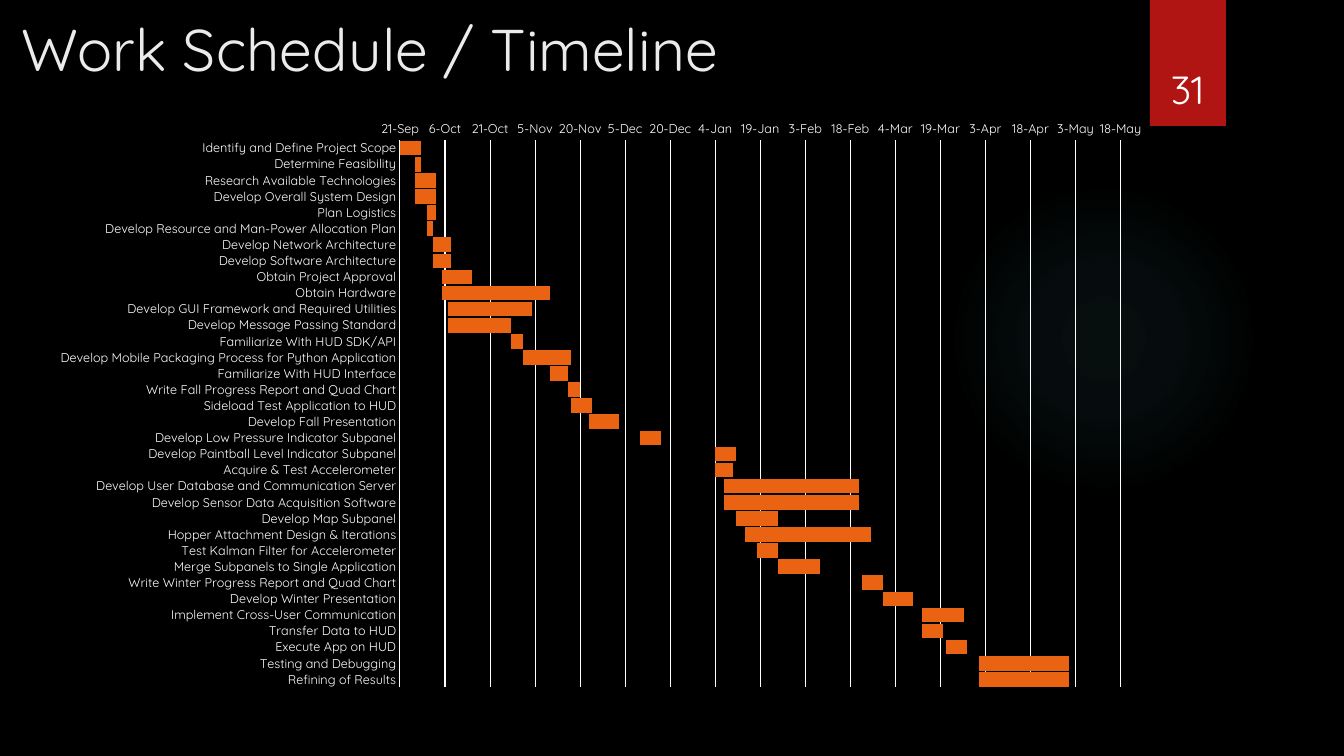
import pptx
import pptx.chart.data
import pptx.dml.color
import pptx.enum.chart
import pptx.enum.shapes
import pptx.enum.text
import pptx.oxml
import pptx.oxml.ns
import pptx.util

BLACK = pptx.dml.color.RGBColor(0x00, 0x00, 0x00)
WHITE = pptx.dml.color.RGBColor(0xFF, 0xFF, 0xFF)
PALE = pptx.dml.color.RGBColor(0xEB, 0xEB, 0xEB)
RED = pptx.dml.color.RGBColor(0xB0, 0x15, 0x13)
ORANGE = pptx.dml.color.RGBColor(0xEA, 0x63, 0x12)
TEAL = pptx.dml.color.RGBColor(0x50, 0xB9, 0xC1)

PX = 914400 / 100.8
FIRST_DAY = 42268
LAST_DAY = 42508
DAYS_PER_TICK = 15

TASKS = [
    ("Identify and Define Project Scope", 42268, 7),
    ("Determine Feasibility", 42273, 2),
    ("Research Available Technologies", 42273, 7),
    ("Develop Overall System Design", 42273, 7),
    ("Plan Logistics", 42277, 3),
    ("Develop Resource and Man-Power Allocation Plan", 42277, 2),
    ("Develop Network Architecture", 42279, 6),
    ("Develop Software Architecture", 42279, 6),
    ("Obtain Project Approval", 42282, 10),
    ("Obtain Hardware", 42282, 36),
    ("Develop GUI Framework and Required Utilities", 42284, 28),
    ("Develop Message Passing Standard", 42284, 21),
    ("Familiarize With HUD SDK/API", 42305, 4),
    ("Develop Mobile Packaging Process for Python Application", 42309, 16),
    ("Familiarize With HUD Interface", 42318, 6),
    ("Write Fall Progress Report and Quad Chart", 42324, 4),
    ("Sideload Test Application to HUD", 42325, 7),
    ("Develop Fall Presentation", 42331, 10),
    ("Develop Low Pressure Indicator Subpanel", 42348, 7),
    ("Develop Paintball Level Indicator Subpanel", 42373, 7),
    ("Acquire & Test Accelerometer", 42373, 6),
    ("Develop User Database and Communication Server", 42376, 45),
    ("Develop Sensor Data Acquisition Software", 42376, 45),
    ("Develop Map Subpanel", 42380, 14),
    ("Hopper Attachment Design & Iterations", 42383, 42),
    ("Test Kalman Filter for Accelerometer", 42387, 7),
    ("Merge Subpanels to Single Application", 42394, 14),
    ("Write Winter Progress Report and Quad Chart", 42422, 7),
    ("Develop Winter Presentation", 42429, 10),
    ("Implement Cross-User Communication", 42442, 14),
    ("Transfer Data to HUD", 42442, 7),
    ("Execute App on HUD", 42450, 7),
    ("Testing and Debugging", 42461, 30),
    ("Refining of Results", 42461, 30),
]


def px(length):
    return pptx.util.Emu(round(length * PX))


class SlideBuilder:
    font = "Quicksand"

    def __init__(self, deck):
        self.page = deck.slides.add_slide(deck.slide_layouts[6])
        self.page.background.fill.solid()
        self.page.background.fill.fore_color.rgb = BLACK

    def style(self, font, size, color):
        font.name = self.font
        font.size = pptx.util.Pt(size)
        font.color.rgb = color

    def shape(self, kind, left, top, width, height, color):
        shape = self.page.shapes.add_shape(kind, px(left), px(top), px(width), px(height))
        shape.shadow.inherit = False
        shape.line.fill.background()
        shape.fill.solid()
        shape.fill.fore_color.rgb = color
        return shape

    def glow(self, left, top, size, color, stops):
        circle = self.shape(pptx.enum.shapes.MSO_SHAPE.OVAL, left, top, size, size, color)
        marks = "".join(
            f'<a:gs pos="{place * 1000}"><a:srgbClr val="{color}">'
            f'<a:alpha val="{alpha * 1000}"/></a:srgbClr></a:gs>'
            for place, alpha in stops
        )
        gradient = pptx.oxml.parse_xml(
            f'<a:gradFill {pptx.oxml.ns.nsdecls("a")}><a:gsLst>{marks}</a:gsLst>'
            '<a:path path="circle"><a:fillToRect l="50000" t="50000" r="50000" b="50000"/>'
            "</a:path></a:gradFill>"
        )
        properties = circle._element.spPr
        properties.replace(properties.find(pptx.oxml.ns.qn("a:solidFill")), gradient)

    def text(self, text, left, top, width, height, size, color,
             align=pptx.enum.text.PP_ALIGN.LEFT, anchor=pptx.enum.text.MSO_ANCHOR.TOP):
        box = self.page.shapes.add_textbox(px(left), px(top), px(width), px(height))
        box.text_frame.word_wrap = True
        box.text_frame.vertical_anchor = anchor
        para = box.text_frame.paragraphs[0]
        para.alignment = align
        span = para.add_run()
        span.text = text
        self.style(span.font, size, color)

    def gantt(self, tasks, left, top, width, height, plot_area):
        names, starts, lengths = zip(*tasks)
        data = pptx.chart.data.CategoryChartData()
        data.categories = names
        data.add_series("Series 1", starts)
        data.add_series("Series 2", lengths)
        chart = self.page.shapes.add_chart(
            pptx.enum.chart.XL_CHART_TYPE.BAR_STACKED,
            px(left), px(top), px(width), px(height), data,
        ).chart
        chart.has_title = False
        chart.has_legend = False
        self.style(chart.font, 10, WHITE)

        plot = chart.plots[0]
        plot.gap_width = 10
        plot.overlap = 100
        plot.vary_by_categories = False
        offset, bars = plot.series
        offset.format.fill.background()
        bars.format.fill.solid()
        bars.format.fill.fore_color.rgb = ORANGE

        for axis in (chart.category_axis, chart.value_axis):
            axis.major_tick_mark = pptx.enum.chart.XL_TICK_MARK.NONE
            axis.minor_tick_mark = pptx.enum.chart.XL_TICK_MARK.NONE
            self.style(axis.tick_labels.font, 9, WHITE)
        chart.category_axis.reverse_order = True
        days = chart.value_axis
        days.minimum_scale = FIRST_DAY
        days.maximum_scale = LAST_DAY
        days.major_unit = DAYS_PER_TICK
        days.tick_labels.number_format = "d\\-mmm"
        days.tick_labels.number_format_is_linked = False
        days.format.line.fill.background()
        days.has_major_gridlines = True
        for line in (chart.category_axis.format.line, days.major_gridlines.format.line):
            line.color.rgb = WHITE
            line.width = pptx.util.Pt(0.75)
        self.place_plot(chart, plot_area)

    def place_plot(self, chart, plot_area):
        area = chart._chartSpace.chart.plotArea
        for layout in area.findall(pptx.oxml.ns.qn("c:layout")):
            area.remove(layout)
        modes = "".join(f'<c:{side}Mode val="edge"/>' for side in "xy")
        sizes = "".join(
            f'<c:{side} val="{share}"/>' for side, share in zip("xywh", plot_area)
        )
        area.insert(0, pptx.oxml.parse_xml(
            f'<c:layout {pptx.oxml.ns.nsdecls("c")}><c:manualLayout>'
            f'<c:layoutTarget val="inner"/>{modes}{sizes}</c:manualLayout></c:layout>'
        ))


def main():
    deck = pptx.Presentation()
    deck.slide_width = px(1344)
    deck.slide_height = px(756)
    slide = SlideBuilder(deck)
    slide.glow(949, 184, 310, TEAL, [(0, 7), (36, 6), (69, 0)])
    slide.shape(pptx.enum.shapes.MSO_SHAPE.RECTANGLE, 1150, 0, 76, 126, RED)
    slide.text("Work Schedule / Timeline", 12, 8, 1037, 154, 42, PALE)
    slide.text("31", 1141, 32, 93, 85, 28, WHITE,
               align=pptx.enum.text.PP_ALIGN.CENTER,
               anchor=pptx.enum.text.MSO_ANCHOR.BOTTOM)
    slide.gantt(TASKS, 22, 108, 1142, 595, (0.331, 0.054, 0.631, 0.92))
    deck.save("out.pptx")


if __name__ == "__main__":
    main()
